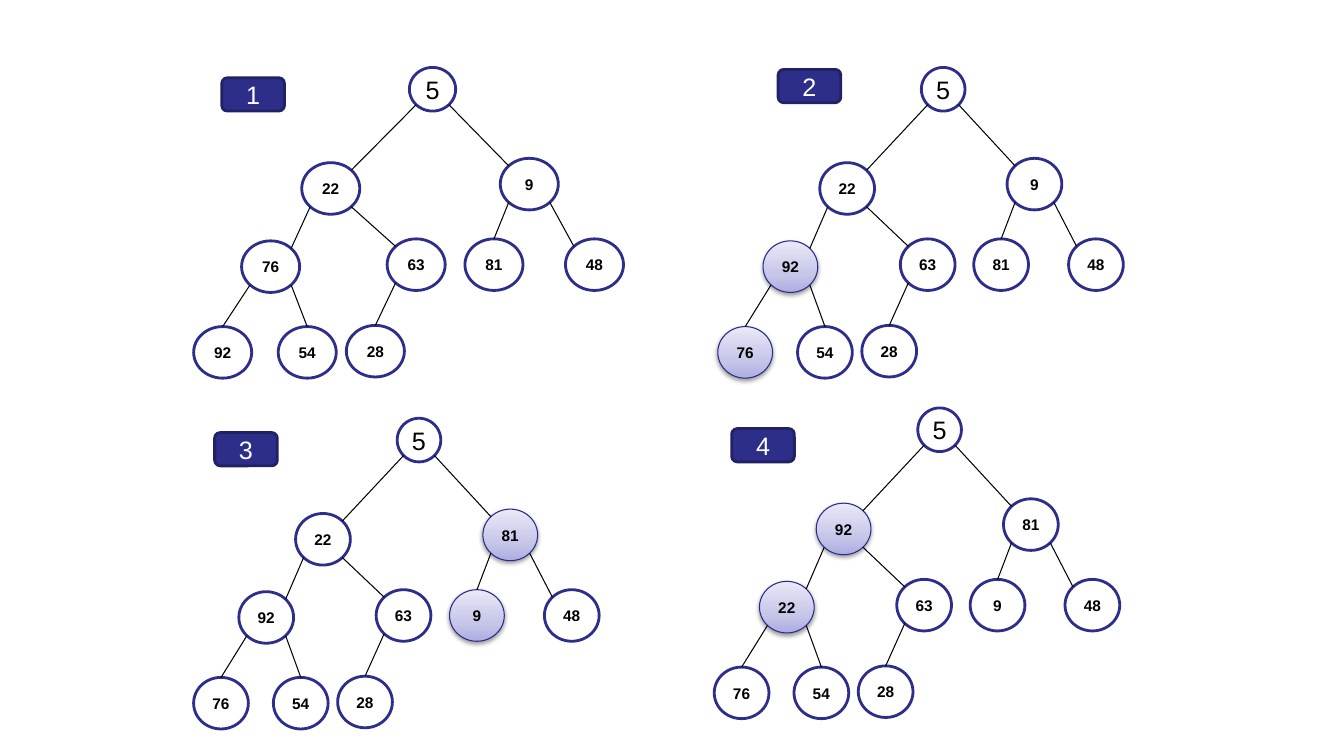
from copy import deepcopy

from pptx import Presentation
from pptx import util as u
from pptx.dml.color import RGBColor
from pptx.enum import shapes, text
from pptx.oxml import parse_xml
from pptx.oxml.ns import nsdecls, qn

COLORS = {
    "paper": "FFFFFF",
    "ink": "000000",
    "ring": "2D2D8A",
    "lit_ring": "2A2A89",
    "badge_edge": "212166",
}
LIT_STOPS = [(0, "ADADE1"), (0.35, "C6C6E9"), (1, "E9E9F7")]
LIT_SHADOW = (
    f'<a:outerShdw {nsdecls("a")} blurRad="40000" dist="20000" dir="5400000" rotWithShape="0">'
    '<a:srgbClr val="000000"><a:alpha val="38000"/></a:srgbClr></a:outerShdw>'
)

NEAR, MIDDLE, FAR = 0.146, 0.5, 0.854
ROOT_SIZE = (1.1, 1.1)
NODE_SIZE = (1.38, 1.3)
BADGE_SIZE = (1.58, 0.84)

# Level order: left, top, and where across the node its incoming edge lands.
SLOTS = [
    (5.13, 0, MIDDLE),
    (2.57, 2.4, FAR),
    (7.29, 2.29, NEAR),
    (1.14, 4.37, FAR),
    (4.6, 4.32, NEAR),
    (6.45, 4.32, MIDDLE),
    (8.84, 4.32, NEAR),
    (0, 6.53, MIDDLE),
    (2.01, 6.53, MIDDLE),
    (3.63, 6.5, MIDDLE),
]

# Heap left and top, horizontal stretch, badge left and top, values, swapped slots.
STEPS = [
    (4.88, 1.7, 1.06, 5.59, 1.96, [5, 22, 9, 76, 63, 81, 48, 92, 54, 28], ()),
    (18.09, 1.7, 1, 19.61, 1.75, [5, 22, 9, 92, 63, 81, 48, 76, 54, 28], (3, 7)),
    (4.88, 10.54, 1, 5.41, 10.9, [5, 22, 81, 92, 63, 9, 48, 76, 54, 28], (2, 5)),
    (18, 10.28, 1, 18.44, 10.8, [5, 92, 81, 22, 63, 9, 48, 76, 54, 28], (1, 3)),
]


class Page:
    font = "Arial"

    def __init__(self, deck):
        self.slide = deck.slides.add_slide(deck.slide_layouts[6])
        self.canvas = self.slide.shapes

    def color(self, name):
        return RGBColor.from_string(COLORS[name])

    def label(self, shape, words, size, color, bold=False):
        frame = shape.text_frame
        frame.margin_left = frame.margin_right = 0
        frame.margin_top = frame.margin_bottom = 0
        frame.word_wrap = False
        frame.vertical_anchor = text.MSO_ANCHOR.MIDDLE
        para = frame.paragraphs[0]
        para.alignment = text.PP_ALIGN.CENTER
        span = para.add_run()
        span.text = str(words)
        span.font.name = self.font
        span.font.size = u.Pt(size)
        span.font.bold = bold
        span.font.color.rgb = self.color(color)

    def solid(self, kind, box, fill, edge):
        shape = self.canvas.add_shape(kind, *map(u.Cm, box))
        shape.shadow.inherit = False
        shape.fill.solid()
        shape.fill.fore_color.rgb = self.color(fill)
        shape.line.color.rgb = self.color(edge)
        shape.line.width = u.Pt(2)
        return shape

    def light_up(self, shape):
        shape.fill.gradient()
        shape.fill.gradient_angle = 90
        properties = shape._element.spPr
        stop_list = next(properties.iter(qn("a:gsLst")))
        stop_list.append(deepcopy(stop_list[-1]))
        for stop, (position, color) in zip(shape.fill.gradient_stops, LIT_STOPS):
            stop.position = position
            stop.color.rgb = RGBColor.from_string(color)
        shape.line.color.rgb = self.color("lit_ring")
        shape.line.width = u.Pt(0.75)
        properties.find(qn("a:effectLst")).append(parse_xml(LIT_SHADOW))

    def node(self, box, value, is_root, is_lit):
        shape = self.solid(shapes.MSO_SHAPE.OVAL, box, "paper", "ring")
        if is_lit:
            self.light_up(shape)
        self.label(shape, value, 18 if is_root else 11, "ink", not is_root)

    def edge(self, start, end):
        line = self.canvas.add_connector(
            shapes.MSO_CONNECTOR.STRAIGHT, *map(u.Cm, start + end)
        )
        line.line.color.rgb = self.color("ink")
        line.line.width = u.Pt(0.75)
        line._element.spPr.append(parse_xml(f'<a:effectLst {nsdecls("a")}/>'))

    def badge(self, left, top, number):
        box = (left, top, *BADGE_SIZE)
        shape = self.solid(shapes.MSO_SHAPE.ROUNDED_RECTANGLE, box, "ring", "badge_edge")
        self.label(shape, number, 18, "paper")

    def heap(self, left, top, stretch, values, swapped):
        self.canvas = self.slide.shapes.add_group_shape().shapes
        boxes = []
        for index, (x, y, _) in enumerate(SLOTS):
            width, height = NODE_SIZE if index else ROOT_SIZE
            box = (left + x * stretch, top + y, width * stretch, height)
            boxes.append(box)
            self.node(box, values[index], index == 0, index in swapped)
        for child in range(1, len(SLOTS)):
            landing = SLOTS[child][2]
            leaving = NEAR if child % 2 else FAR
            depth = 0 if landing == MIDDLE else NEAR
            self.edge(
                point(boxes[(child - 1) // 2], leaving, FAR),
                point(boxes[child], landing, depth),
            )
        self.canvas = self.slide.shapes


def point(box, across, down):
    left, top, width, height = box
    return left + width * across, top + height * down


deck = Presentation()
deck.slide_width = u.Cm(33.87)
deck.slide_height = u.Cm(19.05)
page = Page(deck)
for left, top, stretch, _, _, values, swapped in STEPS:
    page.heap(left, top, stretch, values, swapped)
for number, (_, _, _, left, top, _, _) in enumerate(STEPS, 1):
    page.badge(left, top, number)
deck.save("out.pptx")
